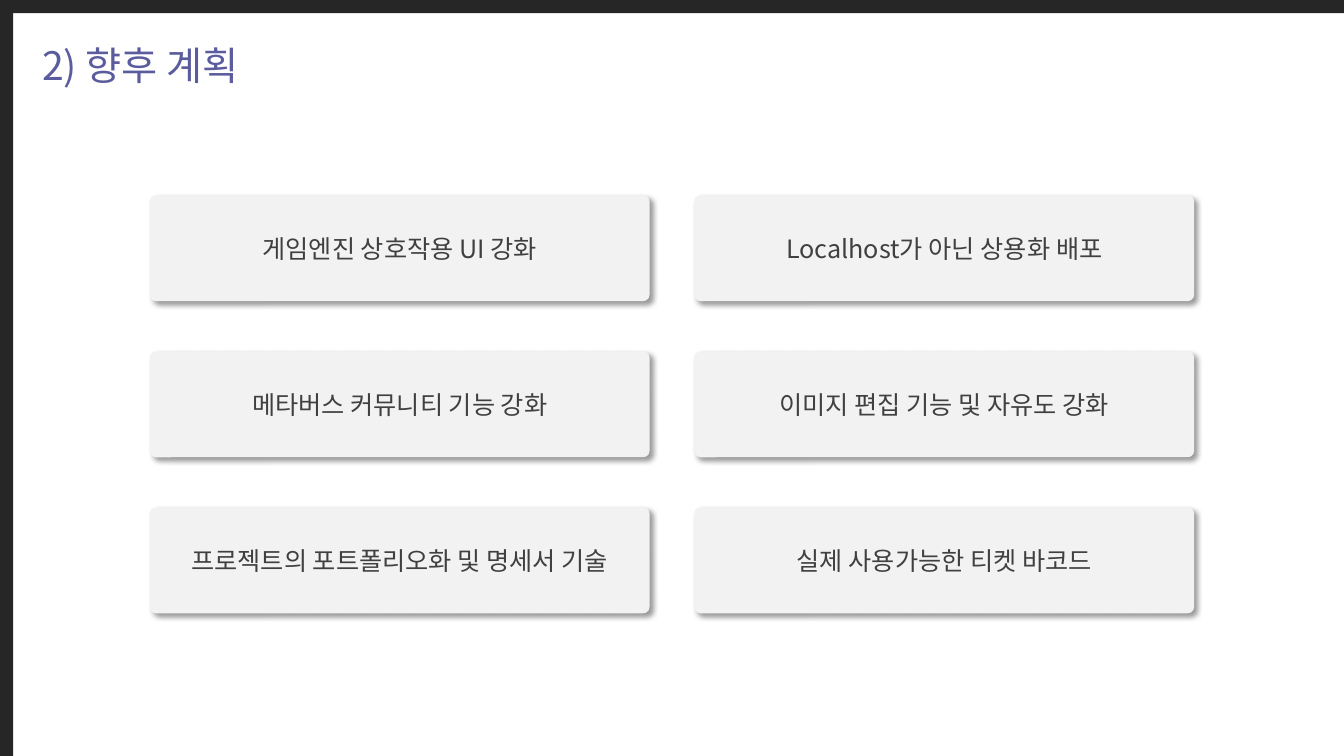
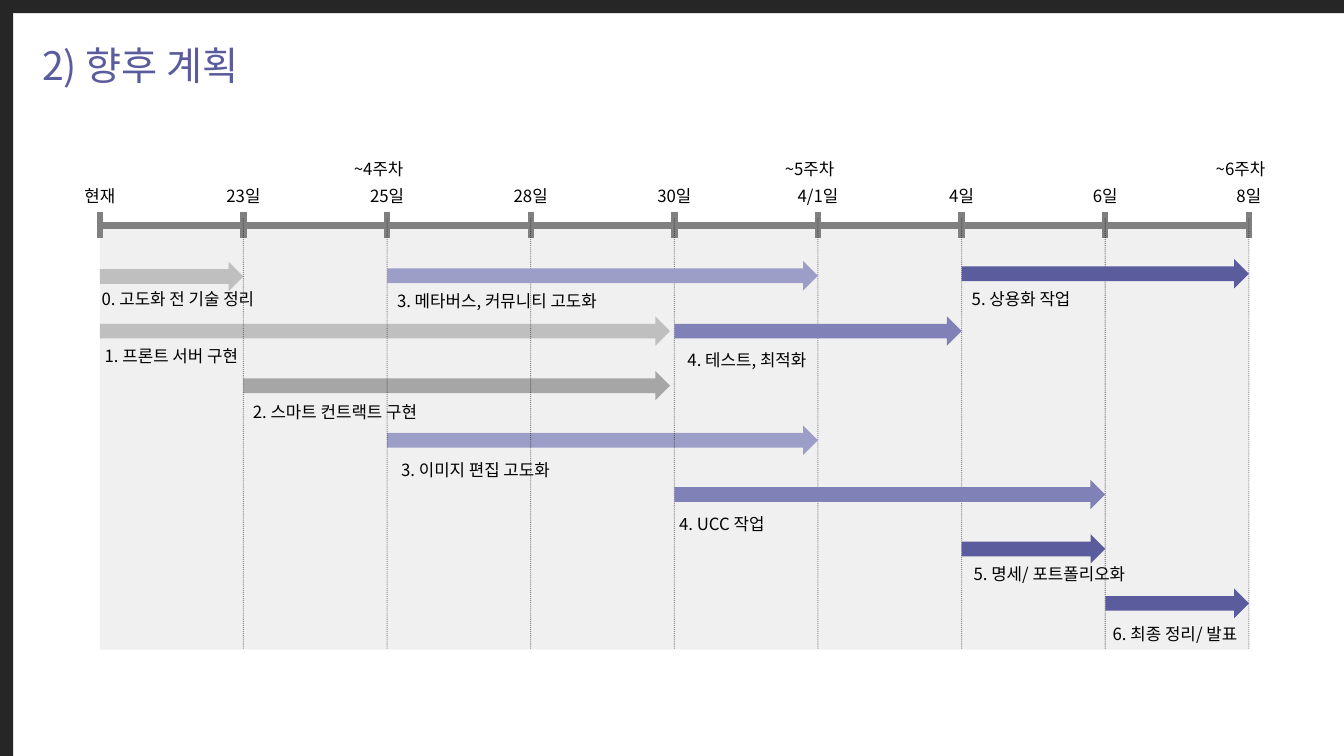
from lxml import etree
from pptx import Presentation
from pptx.dml.color import RGBColor
from pptx.enum.dml import MSO_LINE
from pptx.enum.shapes import MSO_CONNECTOR, MSO_SHAPE
from pptx.enum.text import MSO_ANCHOR, MSO_AUTO_SIZE, PP_ALIGN
from pptx.oxml.ns import qn
from pptx.util import Pt

RECT = MSO_SHAPE.RECTANGLE
ROUNDED = MSO_SHAPE.ROUNDED_RECTANGLE
ARROW = MSO_SHAPE.RIGHT_ARROW
STRAIGHT = MSO_CONNECTOR.STRAIGHT
DOTTED = MSO_LINE.ROUND_DOT
LEFT, CENTER = PP_ALIGN.LEFT, PP_ALIGN.CENTER
TOP, MIDDLE = MSO_ANCHOR.TOP, MSO_ANCHOR.MIDDLE

FONT = "Noto Sans CJK KR"
COLORS = {
    "band": "262626",
    "title": "5B5C9D",
    "card": "F2F2F2",
    "card_text": "404040",
    "black": "000000",
    "panel": "D9D9D9",
    "axis": "808080",
    "silver": "BFBFBF",
    "grey": "A6A6A6",
    "lilac": "9D9EC7",
    "violet": "8081B6",
    "indigo": "5B5C9D",
}
SLIDE_W, SLIDE_H = 960, 540
BAND = 9.4


def write(shape, text, size, color, align=LEFT, anchor=TOP):
    """Set one line of text and format it for Latin and Korean letters."""
    frame = shape.text_frame
    frame.text = text
    frame.word_wrap = True
    frame.auto_size = MSO_AUTO_SIZE.NONE
    frame.vertical_anchor = anchor
    paragraph = frame.paragraphs[0]
    paragraph.alignment = align
    run = paragraph.runs[0]
    run.font.name = FONT
    run.font.size = Pt(size)
    run.font.color.rgb = RGBColor.from_string(COLORS[color])
    etree.SubElement(run.font._element, qn("a:ea"), typeface=FONT)


def draw(shapes, kind, left, top, width, height, color, alpha=None, line=None):
    """Add a flat shape, or a straight line if a line width is given."""
    if line:
        item = shapes.add_connector(STRAIGHT, Pt(left), Pt(top), Pt(left + width), Pt(top + height))
        item.line.width = Pt(line)
        paint = item.line.fill
    else:
        item = shapes.add_shape(kind, Pt(left), Pt(top), Pt(width), Pt(height))
        item.line.fill.background()
        paint = item.fill
    paint.solid()
    paint.fore_color.rgb = RGBColor.from_string(COLORS[color])
    properties = item.element.spPr
    if alpha:
        tint = properties.find(".//" + qn("a:srgbClr"))
        etree.SubElement(tint, qn("a:alpha"), val=str(alpha * 1000))
    etree.SubElement(properties, qn("a:effectLst"))
    return item


deck = Presentation()
deck.slide_width, deck.slide_height = Pt(SLIDE_W), Pt(SLIDE_H)
layout = deck.slide_layouts[5]
plan, schedule = [deck.slides.add_slide(layout) for _ in range(2)]

# Bands live on the layout that both slides use
for number, (width, height) in enumerate([(BAND, SLIDE_H), (SLIDE_W, BAND)]):
    band = draw(plan.shapes, RECT, 0, 0, width, height, "band")
    band.element.nvSpPr.cNvPr.set("id", str(20 + number))
    layout.shapes.element.append(band.element)

for slide in (plan, schedule):
    title = slide.shapes.title
    title.left, title.top, title.width, title.height = Pt(23), Pt(29.5), Pt(645), Pt(41)
    write(title, "2) 향후 계획", 28, "title")
    title.text_frame.paragraphs[0].line_spacing = 0.9

# Plan: two columns of cards
goals = [
    ("게임엔진 상호작용 UI 강화", "Localhost가 아닌 상용화 배포"),
    ("메타버스 커뮤니티 기능 강화", "이미지 편집 기능 및 자유도 강화"),
    ("프로젝트의 포트폴리오화 및 명세서 기술", "실제 사용가능한 티켓 바코드"),
]
for row, pair in enumerate(goals):
    for column, goal in enumerate(pair):
        card = draw(plan.shapes, ROUNDED, 107 + column * 389, 139.5 + row * 111.5, 357, 75.6, "card")
        card.adjustments[0] = 0.06
        effects = card.element.spPr.find(qn("a:effectLst"))
        shadow = etree.SubElement(
            effects, qn("a:outerShdw"), blurRad=str(Pt(4)), dist=str(Pt(3)),
            dir="2700000", algn="tl", rotWithShape="0")
        shade = etree.SubElement(shadow, qn("a:srgbClr"), val=COLORS["black"])
        etree.SubElement(shade, qn("a:alpha"), val="40000")
        write(card, goal, 18, "card_text", CENTER, MIDDLE)

# Schedule: dates at equal steps along the axis
dates = ["현재", "23일", "25일", "28일", "30일", "4/1일", "4일", "6일", "8일"]
weeks = {2: "~4주차", 5: "~5주차", 8: "~6주차"}
AXIS_X, AXIS_Y, STEP = 71.3, 161, 102.6
AXIS_W = STEP * (len(dates) - 1)
DATE_W = 64

panel = draw(schedule.shapes, RECT, AXIS_X, AXIS_Y, AXIS_W, 303, "panel", alpha=39)
draw(schedule.shapes, None, AXIS_X, AXIS_Y, AXIS_W, 0, "axis", line=4.5)
for index, date in enumerate(dates):
    x = AXIS_X + index * STEP
    draw(schedule.shapes, None, x, 151.2, 0, 18.7, "axis", line=4.5)
    if index:
        guide = draw(schedule.shapes, None, x, 156, 0, 308, "black", alpha=42, line=0.75)
        guide.line.dash_style = DOTTED
    captions = [(date, x, 129)]
    if index in weeks:
        captions.append((weeks[index], x - 6, 109.5))
    for caption, center, top in captions:
        box = schedule.shapes.add_textbox(Pt(center - DATE_W / 2), Pt(top), Pt(DATE_W), Pt(21.6))
        write(box, caption, 12, "black", CENTER)

# Start and end in date steps, arrow top, colour, under the guides, label, label left and top
tasks = [
    (0, 1, 187, "silver", True, "0. 고도화 전 기술 정리", 65.5, 202.5),
    (0, 3.97, 226, "silver", True, "1. 프론트 서버 구현", 67.7, 243.5),
    (1, 3.97, 265, "grey", True, "2. 스마트 컨트랙트 구현", 173.5, 283.7),
    (2, 5, 304, "lilac", True, "3. 이미지 편집 고도화", 279.4, 324.7),
    (2, 5, 186.5, "lilac", False, "3. 메타버스, 커뮤니티 고도화", 276.5, 204.5),
    (4, 6, 226, "violet", False, "4. 테스트, 최적화", 484, 246),
    (4, 7, 342.7, "violet", False, "4. UCC 작업", 478, 363.6),
    (6, 8, 185, "indigo", False, "5. 상용화 작업", 687, 203),
    (6, 7, 381.6, "indigo", False, "5. 명세/ 포트폴리오화", 688.3, 399),
    (7, 8, 420.5, "indigo", False, "6. 최종 정리/ 발표", 787.7, 442),
]
for start, end, top, color, under, task, label_left, label_top in tasks:
    bar = draw(schedule.shapes, ARROW, AXIS_X + start * STEP, top, (end - start) * STEP, 21, color)
    if under:
        panel.element.addnext(bar.element)
    label = schedule.shapes.add_textbox(Pt(label_left), Pt(label_top), Pt(170), Pt(21.6))
    write(label, task, 12, "black")

deck.save("out.pptx")
